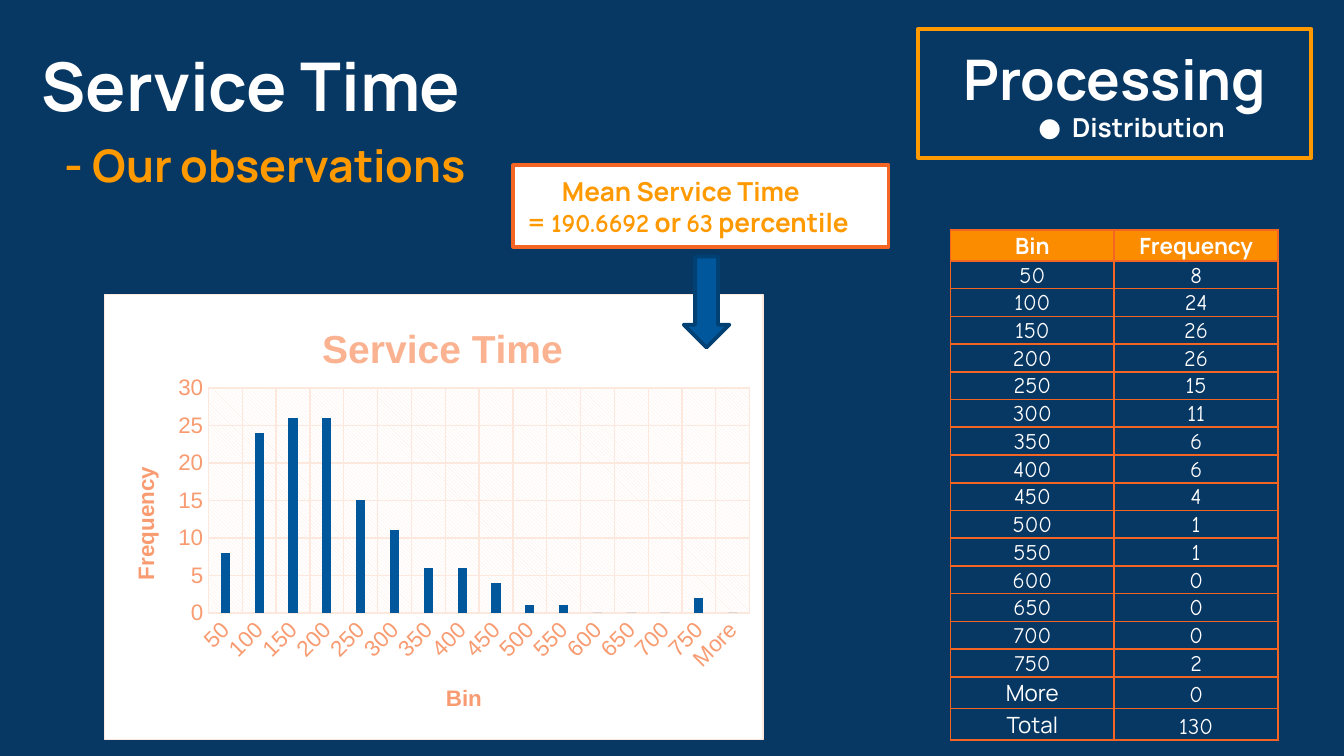
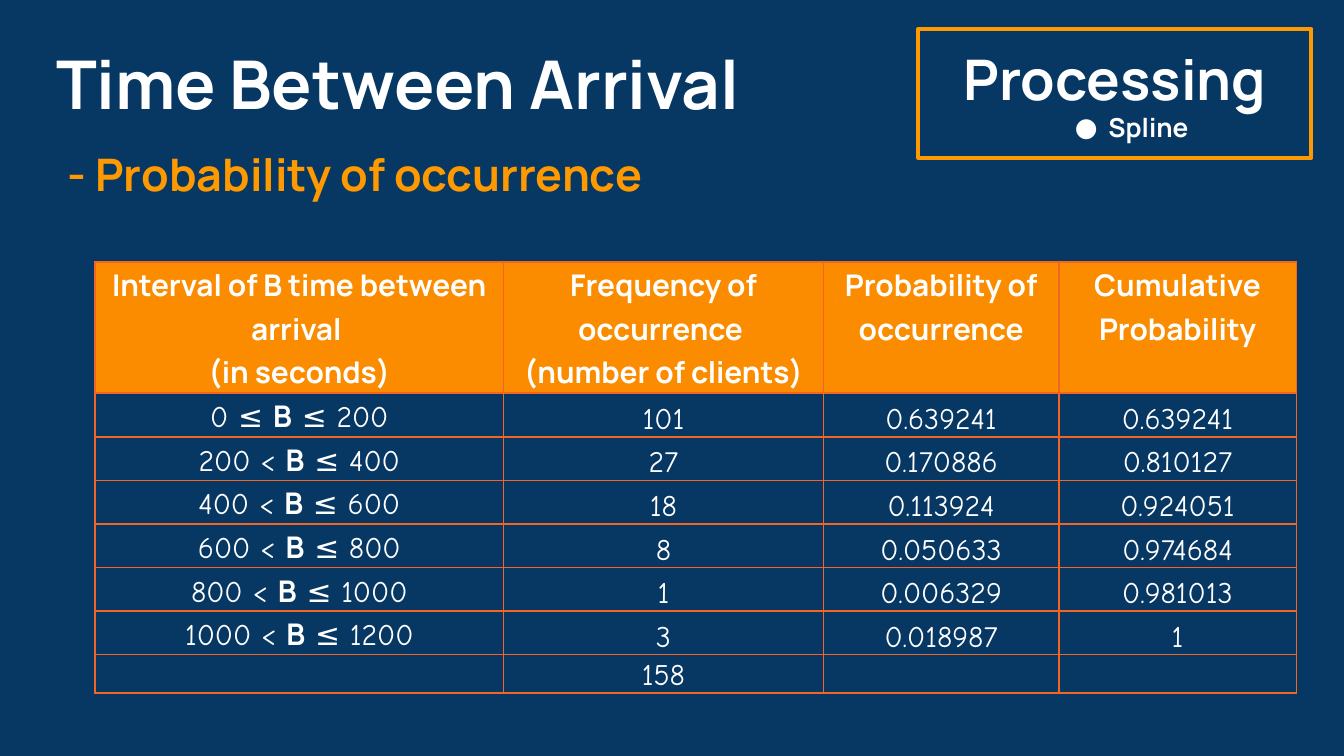
import pptx
import pptx.util
import pptx.dml.color
import pptx.chart.data
import pptx.enum.chart
import pptx.enum.shapes
import pptx.enum.text
import pptx.oxml
import pptx.oxml.ns
from lxml import etree

Pt = pptx.util.Pt
qn = pptx.oxml.ns.qn
ALIGN = pptx.enum.text.PP_ALIGN
ANCHOR = pptx.enum.text.MSO_ANCHOR
SHAPE = pptx.enum.shapes.MSO_SHAPE

NAVY, WHITE, GOLD = "073763", "FFFFFF", "FF9900"
AMBER, RUST, BLUE = "FB8C00", "F46524", "01579B"
PEACH, PALE = "F89B71", "FDE8DE"
MAIN, HAND = "Manrope", "Comic Neue"


def hue(code):
    return pptx.dml.color.RGBColor.from_string(code)


def write(para, text, size=16, font=MAIN, tint=WHITE, bold=True):
    for n, part in enumerate(text.split("\n")):
        if n:
            para.add_line_break()
        run = para.add_run()
        run.text = part
        run.font.size = Pt(size)
        run.font.name = font
        run.font.bold = bold
        run.font.color.rgb = hue(tint)


deck = pptx.Presentation()
deck.slide_width, deck.slide_height = Pt(720), Pt(405)

# Heading, subtitle and stage box of each slide
pages = []
for head, head_at, sub, sub_at, stage in [
    ("Service Time", (15.2, 1), "- Our observations", (21.9, 66.5), "Distribution"),
    ("Time Between Arrival", (23, 0), "- Probability of occurrence", (23.4, 71.5), "Spline"),
]:
    page = deck.slides.add_slide(deck.slide_layouts[6])
    pages.append(page)
    page.background.fill.solid()
    page.background.fill.fore_color.rgb = hue(NAVY)

    sub_box = page.shapes.add_textbox(*map(Pt, sub_at), Pt(496), Pt(40))
    stage_box = page.shapes.add_shape(SHAPE.RECTANGLE, Pt(492), Pt(15.5), Pt(210.5), Pt(69))
    head_box = page.shapes.add_textbox(*map(Pt, head_at), Pt(469), Pt(88.5))
    for box in (sub_box, stage_box, head_box):
        frame = box.text_frame
        frame.word_wrap = True
        frame.margin_left = frame.margin_right = Pt(7.2)
        frame.margin_top = frame.margin_bottom = Pt(7.2)
        frame.vertical_anchor = ANCHOR.TOP if box is sub_box else ANCHOR.MIDDLE

    para = sub_box.text_frame.paragraphs[0]
    para._p.get_or_add_pPr().set("marL", str(Pt(5.76)))
    write(para, sub, size=24, tint=GOLD)
    write(head_box.text_frame.paragraphs[0], head, size=36)

    stage_box.shadow.inherit = False
    stage_box.fill.background()
    stage_box.line.color.rgb = hue(GOLD)
    stage_box.line.width = Pt(2.25)
    para = stage_box.text_frame.paragraphs[0]
    para.alignment = ALIGN.CENTER
    write(para, "Processing", size=30)
    para = stage_box.text_frame.add_paragraph()
    para.alignment = ALIGN.CENTER
    props = para._p.get_or_add_pPr()
    props.set("marL", str(Pt(36)))
    props.set("indent", str(Pt(-18)))
    tone = etree.SubElement(props, qn("a:buClr"))
    etree.SubElement(tone, qn("a:srgbClr"), val=WHITE)
    etree.SubElement(props, qn("a:buFont"), typeface=MAIN)
    etree.SubElement(props, qn("a:buChar"), char="●")
    write(para, stage, size=14)

# Service time histogram
bins = [str(n) for n in range(50, 751, 50)] + ["More"]
counts = [8, 24, 26, 26, 15, 11, 6, 6, 4, 1, 1, 0, 0, 0, 2, 0]
data = pptx.chart.data.CategoryChartData()
data.categories = bins
data.add_series("Series 1", counts)
chart = pages[0].shapes.add_chart(
    pptx.enum.chart.XL_CHART_TYPE.COLUMN_CLUSTERED,
    Pt(55.6), Pt(157.5), Pt(353.5), Pt(239), data).chart
chart.has_legend = False
chart.font.name = "Arial"
chart.font.size = Pt(10)
chart.font.color.rgb = hue(RUST)
chart.has_title = True
write(chart.chart_title.text_frame.paragraphs[0], "Service Time",
      size=21, font="Arial", tint="FAB291")
chart.chart_title.include_in_layout = False

plot = chart.plots[0]
plot.gap_width, plot.overlap = 267, -43
plot.vary_by_categories = False
fill = plot.series[0].format.fill
fill.solid()
fill.fore_color.rgb = hue(BLUE)

for axis, name in [(chart.category_axis, "Bin"), (chart.value_axis, "Frequency")]:
    axis.has_title = True
    write(axis.axis_title.text_frame.paragraphs[0], name, size=12, font="Arial", tint=PEACH)
    axis.has_major_gridlines = True
    axis.major_tick_mark = axis.minor_tick_mark = pptx.enum.chart.XL_TICK_MARK.NONE
    font = axis.tick_labels.font
    font.name, font.size, font.bold = "Arial", Pt(12), False
    font.color.rgb = hue(PEACH)
    for line in (axis.format.line, axis.major_gridlines.format.line):
        line.color.rgb = hue(PALE)
        line.width = Pt(0.75)
chart.value_axis.format.line.fill.background()
chart.value_axis.minimum_scale = 0
chart.value_axis.maximum_scale = 30
chart.value_axis.major_unit = 5
body = chart.category_axis._element.find(qn("c:txPr")).find(qn("a:bodyPr"))
body.set("rot", "-2700000")

# Title and plot position, hatched plot area, white chart ground
names = pptx.oxml.ns.nsdecls("c", "a")
title = chart.chart_title._element
area = chart._chartSpace.chart.plotArea
for part in (title, area):
    for old in part.findall(qn("c:layout")):
        part.remove(old)
title.find(qn("c:tx")).addnext(pptx.oxml.parse_xml(
    f'<c:layout {names}><c:manualLayout><c:xMode val="edge"/><c:yMode val="edge"/>'
    '<c:x val="0.32"/><c:y val="0.05"/></c:manualLayout></c:layout>'))
area.insert(0, pptx.oxml.parse_xml(
    f'<c:layout {names}><c:manualLayout><c:layoutTarget val="inner"/>'
    '<c:xMode val="edge"/><c:yMode val="edge"/><c:x val="0.158"/><c:y val="0.21"/>'
    '<c:w val="0.822"/><c:h val="0.506"/></c:manualLayout></c:layout>'))
area.append(pptx.oxml.parse_xml(
    f'<c:spPr {names}><a:pattFill prst="ltDnDiag"><a:fgClr><a:srgbClr val="{PALE}"/></a:fgClr>'
    f'<a:bgClr><a:srgbClr val="{WHITE}"/></a:bgClr></a:pattFill></c:spPr>'))
chart._chartSpace.chart.addnext(pptx.oxml.parse_xml(
    f'<c:spPr {names}><a:solidFill><a:srgbClr val="{WHITE}"/></a:solidFill>'
    f'<a:ln w="{Pt(0.75)}"><a:solidFill><a:srgbClr val="{PALE}"/></a:solidFill></a:ln></c:spPr>'))

# Rows of both tables
times = [("Bin", "Frequency"), *zip(bins, counts), ("Total", sum(counts))]
clients = [101, 27, 18, 8, 1, 3]
total = sum(clients)
odds = [("Interval of B time between arrival \n(in seconds)",
         "Frequency of occurrence \n(number of clients)",
         "Probability of occurrence", "Cumulative Probability")]
for n, count in enumerate(clients):
    sign = "<" if n else "≤"
    share = round(count / total, 6)
    run_up = round(sum(clients[:n + 1]) / total, 6)
    odds.append((f"{200 * n} {sign} B ≤ {200 * n + 200}", count, f"{share:g}", f"{run_up:g}"))
odds.append(("", total, "", ""))

# Tables
for page, rows, at, widths, talls, size, side, space in [
    (pages[0], times, (509.2, 123.2), (87.75, 87.75),
     [16.6] + [14.86] * 15 + [16.9] * 2, 12, 0, 1),
    (pages[1], odds, (51, 140.5), (218.7, 171.5, 126, 127.3),
     [70.2] + [23.35] * 6 + [19.7], 16, 5.76, 1.07),
]:
    grid = page.shapes.add_table(len(rows), len(widths), *map(Pt, at),
                                 Pt(sum(widths)), Pt(sum(talls))).table
    grid.first_row = grid.horz_banding = False
    for col, width in zip(grid.columns, widths):
        col.width = Pt(width)
    for r, row in enumerate(rows):
        grid.rows[r].height = Pt(talls[r])
        for c, value in enumerate(row):
            cell = grid.cell(r, c)
            cell.margin_left = cell.margin_right = Pt(side)
            cell.margin_top = cell.margin_bottom = 0
            top = side and (r == 0 or c == 0)
            cell.vertical_anchor = ANCHOR.TOP if top else ANCHOR.BOTTOM
            for edge in ("lnL", "lnR", "lnT", "lnB"):
                rule = etree.SubElement(cell._tc.get_or_add_tcPr(), qn("a:" + edge), w=str(Pt(1)))
                paint = etree.SubElement(rule, qn("a:solidFill"))
                etree.SubElement(paint, qn("a:srgbClr"), val=RUST)
            if r == 0:
                cell.fill.solid()
                cell.fill.fore_color.rgb = hue(AMBER)
            else:
                cell.fill.background()

            para = cell.text_frame.paragraphs[0]
            para.alignment = ALIGN.CENTER
            para.line_spacing = space
            text = str(value)
            if not text:
                etree.SubElement(para._p, qn("a:endParaRPr"), sz=str(100 * size))
            elif r == 0:
                write(para, text, size=size)
            else:
                for part in text.partition("B"):
                    if part:
                        font = MAIN if part.isalpha() else HAND
                        write(para, part, size=size, font=font, bold=part == "B")

# Mean callout
note = pages[0].shapes.add_shape(SHAPE.RECTANGLE, Pt(275), Pt(88.5), Pt(201), Pt(43.7))
note.shadow.inherit = False
note.fill.solid()
note.fill.fore_color.rgb = hue(WHITE)
note.line.color.rgb = hue(RUST)
note.line.width = Pt(2)
frame = note.text_frame
frame.word_wrap = True
frame.vertical_anchor = ANCHOR.TOP
frame.margin_top, frame.margin_bottom = Pt(5.5), 0
first, second = frame.paragraphs[0], frame.add_paragraph()
for para in (first, second):
    para.alignment = ALIGN.LEFT
first._p.get_or_add_pPr().set("marL", str(Pt(19)))
write(first, "Mean Service Time", size=14, tint=GOLD)
for part, font in [("= ", MAIN), ("190.6692", HAND), (" or ", MAIN),
                   ("63", HAND), (" percentile", MAIN)]:
    write(second, part, size=14, font=font, tint=GOLD)

# Arrow from the callout to the chart
arrow = pages[0].shapes.add_shape(SHAPE.DOWN_ARROW, Pt(366.3), Pt(137.5), Pt(24.5), Pt(48.7))
arrow.shadow.inherit = False
arrow.fill.solid()
arrow.fill.fore_color.rgb = hue(BLUE)
arrow.line.color.rgb = hue("014073")
arrow.line.width = Pt(2)

deck.save("out.pptx")
